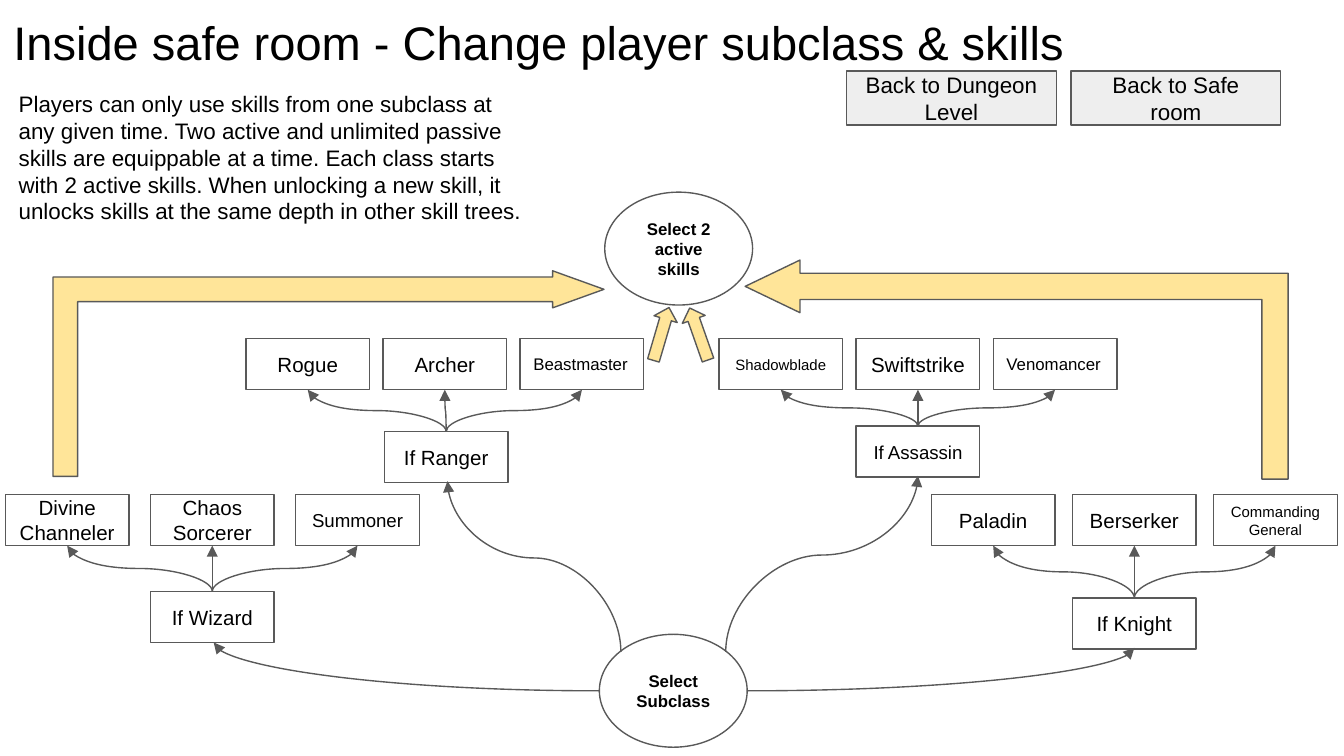
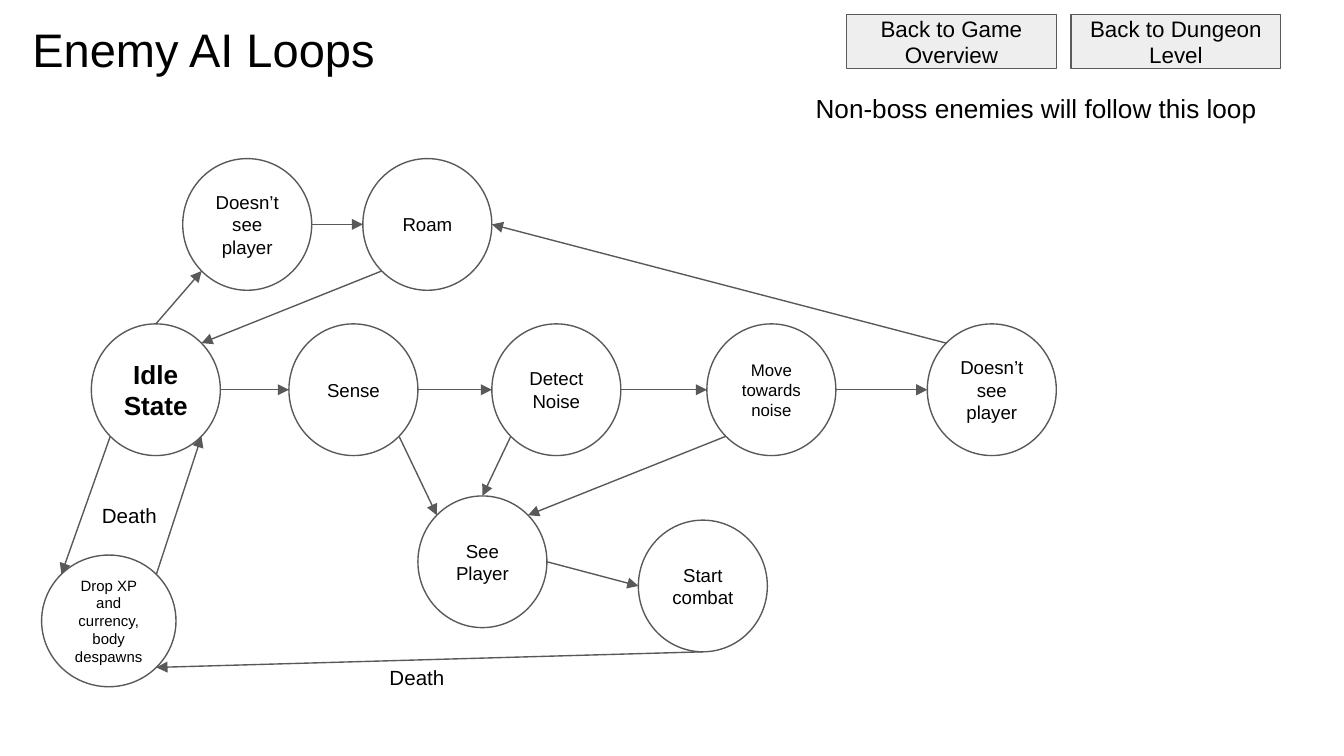
"""Build two game flow slides: the subclass skill tree and the enemy AI loops."""
from lxml import etree
from pptx import Presentation
from pptx.dml.color import RGBColor
from pptx.enum import shapes as kinds, text as txt
from pptx.oxml.ns import qn
from pptx.util import Inches, Pt

FONT, INK, EDGE, GREY, GOLD = "Arial", "000000", "595959", "EEEEEE", "FFE599"
RECT, OVAL = kinds.MSO_SHAPE.RECTANGLE, kinds.MSO_SHAPE.OVAL
UP, BENT = kinds.MSO_SHAPE.UP_ARROW, kinds.MSO_SHAPE.BENT_UP_ARROW
LEFT, MID = txt.PP_ALIGN.LEFT, txt.PP_ALIGN.CENTER
BOX = (0.92, 0.38)
HUB = (1.1, 0.84)
RING = (0.96, 0.98)

SKILLS = {
    "title": ("Inside safe room - Change player subclass & skills", 0, 0),
    "tabs": (0.53, ["Back to Dungeon Level", "Back to Safe room"]),
    "notes": [("Players can only use skills from one subclass at any given time. "
               "Two active and unlimited passive skills are equippable at a time. "
               "Each class starts with 2 active skills. When unlocking a new skill, "
               "it unlocks skills at the same depth in other skill trees.",
               (0.04, 0.57, 4.01, 1.18), 12)],
}
# name, size, left, top; then first child left, step, top, children
TREES = [
    ("If Wizard", 11, 1.12, 4.4, 0.04, 1.08, 3.68,
     [("Divine Channeler", 11, MID), ("Chaos Sorcerer", 11, MID), ("Summoner", 10, MID)]),
    ("If Ranger", 11, 2.86, 3.21, 1.83, 1.02, 2.52,
     [("Rogue", 11, MID), ("Archer", 11, MID), ("Beastmaster", 9, LEFT)]),
    ("If Assassin", 10, 6.37, 3.17, 5.35, 1.02, 2.52,
     [("Shadowblade", 8, MID), ("Swiftstrike", 11, MID), ("Venomancer", 9, LEFT)]),
    ("If Knight", 11, 7.98, 4.45, 6.93, 1.05, 3.68,
     [("Paladin", 11, MID), ("Berserker", 11, MID), ("Commanding General", 8, MID)]),
]
HUBS = [("Select Subclass", 4.46, 4.72), ("Select 2 active skills", 4.5, 1.43)]
STEMS = [((4.46, 5.14), (1.59, 4.78), None), ((5.56, 5.14), (8.44, 4.82), None),
         ((4.62, 4.85), (3.33, 3.58), 0.55), ((5.4, 4.85), (6.83, 3.54), 0.55)]
ARROWS = [
    (UP, (4.83, 2.28, 0.18, 0.41), 16.4, False, (0.5, 0.5)),
    (UP, (5.11, 2.28, 0.18, 0.41), 340.6, False, (0.5, 0.5)),
    (BENT, (1.68, 0.73, 1.53, 4.1), 90, True, (0.12, 0.09, 0.25)),
    (BENT, (6.75, 0.73, 1.63, 4.04), 270, False, (0.12, 0.12, 0.25)),
]

LOOPS = {
    "title": ("Enemy AI Loops", 0.14, 0.05),
    "tabs": (0.11, ["Back to Game Overview", "Back to Dungeon Level"]),
    "notes": [("Non-boss enemies will follow this loop", (5.97, 0.59, 3.56, 0.44), 14),
              ("Death", (0.66, 3.64, 1, 0.39), 11),
              ("Death", (2.8, 4.85, 1, 0.39), 11)],
}
STATES = {
    "idle": ("Idle State", 14, 0.68, 2.41, RING),
    "sense": ("Sense", 10, 2.15, 2.41, RING),
    "noise": ("Detect Noise", 10, 3.66, 2.41, RING),
    "move": ("Move towards noise", 9, 5.26, 2.41, RING),
    "lost": ("Doesn’t see player", 10, 6.9, 2.41, RING),
    "blind": ("Doesn’t see player", 10, 1.36, 1.18, RING),
    "roam": ("Roam", 10, 2.7, 1.18, RING),
    "see": ("See Player", 10, 3.11, 3.69, RING),
    "fight": ("Start combat", 10, 4.75, 3.87, RING),
    "drop": ("Drop XP and currency, body despawns", 8, 0.31, 4.13, (1, 0.98)),
}
LINKS = ["idle e sense w", "sense e noise w", "noise e move w", "move e lost w",
         "idle n blind sw", "blind e roam w", "roam sw idle ne", "lost nw roam e",
         "sense se see nw", "noise sw see n", "move sw see ne", "see e fight w",
         "fight s drop se", "idle sw drop nw", "drop ne idle se"]


def hue(code):
    return RGBColor.from_string(code)


def write(shape, words, size=12, bold=False, align=MID, anchor=txt.MSO_ANCHOR.MIDDLE):
    frame = shape.text_frame
    frame.auto_size, frame.word_wrap = txt.MSO_AUTO_SIZE.NONE, True
    frame.vertical_anchor = anchor
    frame.margin_left = frame.margin_right = Inches(0.1)
    frame.margin_top = frame.margin_bottom = Inches(0.1)
    para = frame.paragraphs[0]
    para.alignment = align
    run = para.add_run()
    run.text = words
    font = run.font
    font.name, font.size, font.bold = FONT, Pt(size), bold
    font.color.rgb = hue(INK)


def draw(slide, kind, area, fill=None):
    shape = slide.shapes.add_shape(kind, *map(Inches, area))
    shape.shadow.inherit = False
    if fill:
        shape.fill.solid()
        shape.fill.fore_color.rgb = hue(fill)
    else:
        shape.fill.background()
    shape.line.color.rgb, shape.line.width = hue(EDGE), Pt(0.75)
    return shape


def node(slide, kind, area, words, fill=None, **look):
    write(draw(slide, kind, area, fill), words, **look)


def link(slide, start, end, kind=kinds.MSO_CONNECTOR.STRAIGHT):
    line = slide.shapes.add_connector(kind, *map(Inches, start + end))
    line.line.color.rgb, line.line.width = hue(EDGE), Pt(0.75)
    props = line.element.spPr
    etree.SubElement(props.find(qn("a:ln")), qn("a:tailEnd"), type="triangle")
    etree.SubElement(props, qn("a:effectLst"))
    return line


def turn(shape, angle, flip):
    form = shape.element.spPr.find(qn("a:xfrm"))
    for key in ("flipH", "flipV"):
        form.attrib.pop(key, None)
    form.set("rot", str(int(angle * 60000)))
    if flip:
        form.set("flipH", "1")


def curve(slide, start, end, bend=0.5):
    """Curve upwards: an S that leaves vertically, or a quarter turn if bend is None."""
    line = link(slide, start, end, kinds.MSO_CONNECTOR.CURVE)
    (x1, y1), (x2, y2) = start, end
    geom = line.element.spPr.find(qn("a:prstGeom"))
    if bend is None:
        geom.set("prst", "curvedConnector2")
        turn(line, 180, x2 > x1)
        return
    wide, high = abs(x2 - x1), abs(y2 - y1)
    line.left, line.top = Inches((x1 + x2 - high) / 2), Inches((y1 + y2 - wide) / 2)
    line.width, line.height = Inches(high), Inches(wide)
    turn(line, 90 if x2 < x1 else 270, x2 < x1)
    guides = geom.find(qn("a:avLst"))
    if guides is None:
        guides = etree.SubElement(geom, qn("a:avLst"))
    etree.SubElement(guides, qn("a:gd"), name="adj1", fmla=f"val {round(bend * 100000)}")


def begin(deck, page):
    slide = deck.slides.add_slide(deck.slide_layouts[5])
    words, left, top = page["title"]
    title = slide.shapes.title
    title.left, title.top = Inches(left), Inches(top)
    title.width, title.height = Inches(9.32), Inches(0.63)
    write(title, words, size=25.2, align=LEFT, anchor=txt.MSO_ANCHOR.TOP)
    top, tabs = page["tabs"]
    for i, words in enumerate(tabs):
        node(slide, RECT, (6.3 + 1.67 * i, top, 1.56, 0.4), words, GREY)
    for words, area, size in page["notes"]:
        box = slide.shapes.add_textbox(*map(Inches, area))
        write(box, words, size=size, align=LEFT, anchor=txt.MSO_ANCHOR.TOP)
    return slide


def skills(deck):
    slide = begin(deck, SKILLS)
    wide, high = BOX
    for name, size, left, top, first, step, row, kids in TREES:
        node(slide, RECT, (left, top, *BOX), name, size=size)
        for i, (kid, small, align) in enumerate(kids):
            x = first + step * i
            node(slide, RECT, (x, row, *BOX), kid, size=small, align=align)
            curve(slide, (left + wide / 2, top), (x + wide / 2, row + high))
    for name, left, top in HUBS:
        node(slide, OVAL, (left, top, *HUB), name, size=9, bold=True)
    for start, end, bend in STEMS:
        curve(slide, start, end, bend)
    for kind, area, angle, flip, cuts in ARROWS:
        arrow = draw(slide, kind, area, GOLD)
        turn(arrow, angle, flip)
        for i, cut in enumerate(cuts):
            arrow.adjustments[i] = cut


def rim(key, side):
    """Return the point on a state's outline in a compass direction."""
    left, top, (wide, high) = STATES[key][2:]
    reach = 0.5 if len(side) == 1 else 0.5 ** 1.5
    across = ("e" in side) - ("w" in side)
    down = ("s" in side) - ("n" in side)
    return left + wide * (0.5 + across * reach), top + high * (0.5 + down * reach)


def loops(deck):
    slide = begin(deck, LOOPS)
    for key, (words, size, left, top, span) in STATES.items():
        node(slide, OVAL, (left, top, *span), words, size=size, bold=key == "idle")
    for route in LINKS:
        tail, out, head, into = route.split()
        link(slide, rim(tail, out), rim(head, into))


def main():
    deck = Presentation()
    deck.slide_width = Inches(10)
    deck.slide_height = Inches(10 * 9 / 16)
    skills(deck)
    loops(deck)
    deck.save("out.pptx")


if __name__ == "__main__":
    main()
